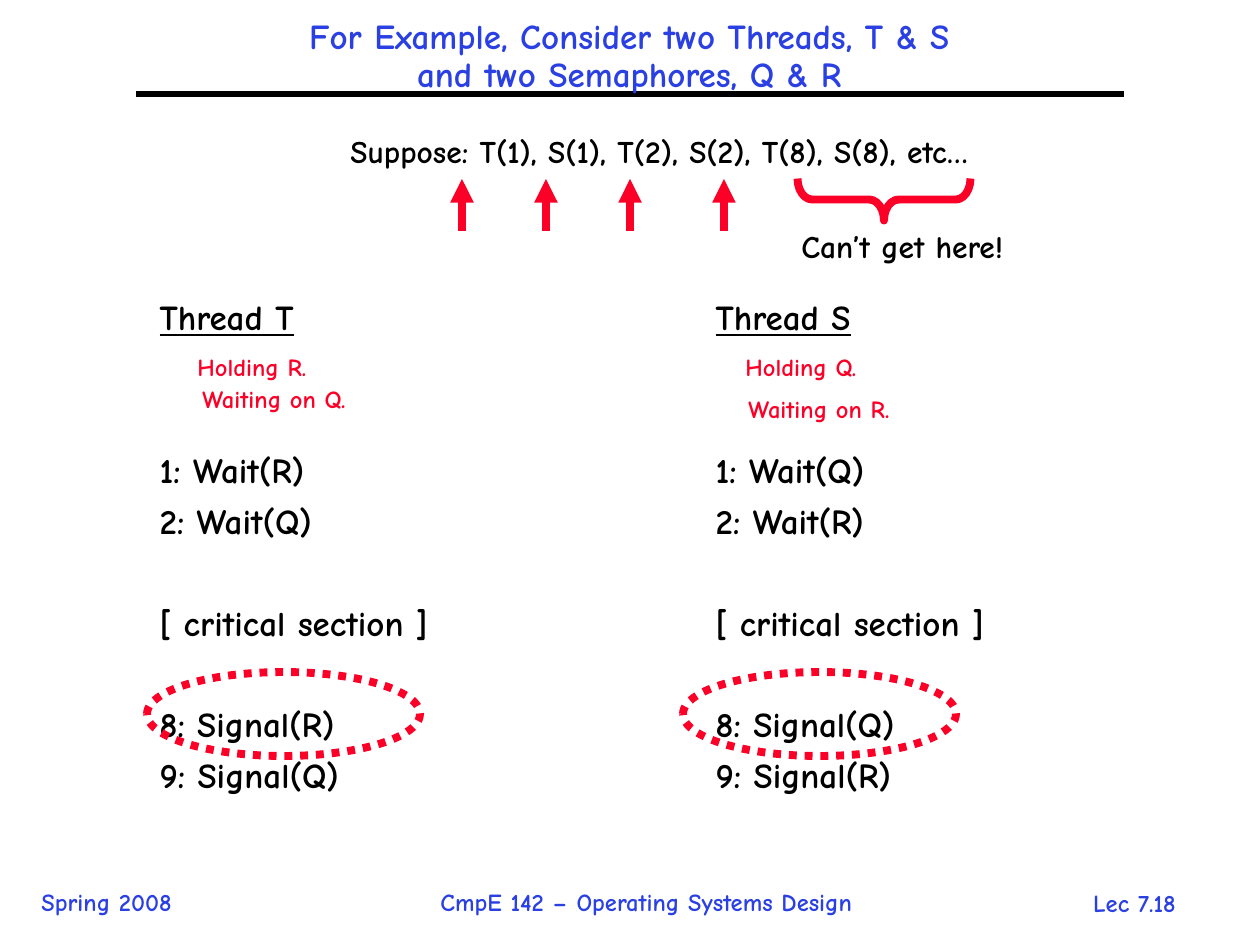
import copy

from lxml import etree
from pptx import Presentation
from pptx import util as u
from pptx.dml.color import RGBColor
from pptx.enum import dml, shapes, text
from pptx.oxml.ns import qn

SCALE = 914400 / 126
BLUE, RED, BLACK = "2A40E2", "FC0128", "000000"
LINE_HEIGHT, GAP = 21.6, 7.5


def px(length):
    return u.Emu(round(length * SCALE))


def colour(value):
    return RGBColor.from_string(value)


def apply(target, formats):
    for name, value in formats.items():
        setattr(target, name, value)


class SlideWriter:
    font = {"name": "Comic Neue", "bold": True}
    title_format = {"alignment": text.PP_ALIGN.CENTER, "line_spacing": 0.9}

    def __init__(self, deck):
        self.page = deck.slides.add_slide(deck.slide_layouts[3])

    def style_runs(self, para, size, tint, **extra):
        for span in para.runs:
            apply(span.font, {**self.font, "size": u.Pt(size), **extra})
            span.font.color.rgb = colour(tint)

    def style_line(self, shape, tint, width):
        shape.line.color.rgb = colour(tint)
        shape.line.width = u.Pt(width)

    def placeholder(self, index, frame, anchor):
        box = self.page.placeholders[index]
        apply(box, dict(zip(("left", "top", "width", "height"), map(px, frame))))
        apply(box.text_frame, {"vertical_anchor": anchor, "word_wrap": True,
                               "auto_size": text.MSO_AUTO_SIZE.NONE})
        self.page.shapes._spTree.append(box._element)
        return box.text_frame

    def title(self, frame, words):
        para = self.placeholder(0, frame, text.MSO_ANCHOR.MIDDLE).paragraphs[0]
        para.text = words
        apply(para, self.title_format)
        self.style_runs(para, 20, BLUE)
        for line_break in para._p.findall(qn("a:br")):
            line_break.append(copy.deepcopy(para.runs[0]._r.rPr))

    def listing(self, index, frame, heading, rows):
        body = self.placeholder(index, frame, text.MSO_ANCHOR.TOP)
        for number, (words, skipped) in enumerate([(heading, 0), *rows]):
            para = body.add_paragraph() if number else body.paragraphs[0]
            para.text = words
            before = GAP + skipped * (LINE_HEIGHT + GAP) if number else 0
            apply(para, {"level": 1, "line_spacing": 0.9,
                         "space_before": u.Pt(before), "space_after": u.Pt(0)})
            properties = para._p.get_or_add_pPr()
            properties.set("marL", str(px(94)))
            properties.set("indent", str(px(-31)))
            etree.SubElement(properties, qn("a:buNone"))
            self.style_runs(para, 20, BLACK, underline=number == 0)

    def label(self, frame, words, size, tint, align=text.PP_ALIGN.LEFT):
        box = self.page.shapes.add_textbox(*map(px, frame))
        apply(box.text_frame, {"word_wrap": False,
                               "auto_size": text.MSO_AUTO_SIZE.SHAPE_TO_FIT_TEXT})
        para = box.text_frame.paragraphs[0]
        para.text = words
        para.alignment = align
        self.style_runs(para, size, tint)

    def line(self, ends, tint, width, arrow=False):
        connector = self.page.shapes.add_connector(
            shapes.MSO_CONNECTOR.STRAIGHT, *map(px, ends))
        self.style_line(connector, tint, width)
        properties = connector._element.spPr
        if arrow:
            etree.SubElement(properties.find(qn("a:ln")), qn("a:tailEnd"), type="triangle")
        etree.SubElement(properties, qn("a:effectLst"))

    def outline(self, kind, frame):
        shape = self.page.shapes.add_shape(kind, *map(px, frame))
        shape.shadow.inherit = False
        shape.fill.background()
        self.style_line(shape, RED, 4.5)
        return shape

    def brace(self, frame):
        shape = self.outline(shapes.MSO_SHAPE.LEFT_BRACE, frame)
        shape.rotation = 270
        shape.adjustments[0] = 0.35

    def dotted_ellipse(self, frame):
        shape = self.outline(shapes.MSO_SHAPE.OVAL, frame)
        shape.line.dash_style = dml.MSO_LINE.ROUND_DOT


def main():
    deck = Presentation()
    apply(deck, {"slide_width": px(1260), "slide_height": px(945)})
    writer = SlideWriter(deck)

    writer.label((1038, 882, 193, 42), "Lec 7.18", 14, BLUE, text.PP_ALIGN.CENTER)
    writer.label((29, 881, 156, 42), "Spring 2008", 14, BLUE)
    writer.line((136, 94, 1124, 94), BLACK, 3)
    writer.label((428, 881, 438, 42), "CmpE 142 – Operating Systems Design", 14, BLUE)
    writer.title((136, 21, 987, 73),
                 "For Example, Consider two Threads, T & S\vand two Semaphores, Q & R")

    threads = [("T", "R", "Q", 84, 536), ("S", "Q", "R", 640, 525)]
    for index, (thread, first, second, left, height) in enumerate(threads, 1):
        rows = [(f"1: Wait({first})", 2), (f"2: Wait({second})", 0),
                ("[ critical section ]", 1),
                (f"8: Signal({first})", 1), (f"9: Signal({second})", 0)]
        writer.listing(index, (left, 294, 536, height), f"Thread {thread}", rows)

    writer.label((338, 126, 655, 50),
                 "Suppose: T(1), S(1), T(2), S(2), T(8), S(8), etc…", 18, BLACK)
    for x in (462, 546, 630, 724):
        writer.line((x, 231, x, 179), RED, 4.5, arrow=True)
    writer.brace((863, 113, 42, 173))
    writer.label((789, 221, 228, 50), "Can’t get here!", 18, BLACK)

    states = [((185, 346, 134, 43), "Holding R."), ((190, 378, 170, 43), "Waiting on Q."),
              ((733, 346, 137, 43), "Holding Q."), ((736, 388, 168, 43), "Waiting on R.")]
    for frame, words in states:
        writer.label(frame, words, 14, RED)
    for left in (147, 683):
        writer.dotted_ellipse((left, 672, 273, 84))

    deck.save("out.pptx")


if __name__ == "__main__":
    main()
